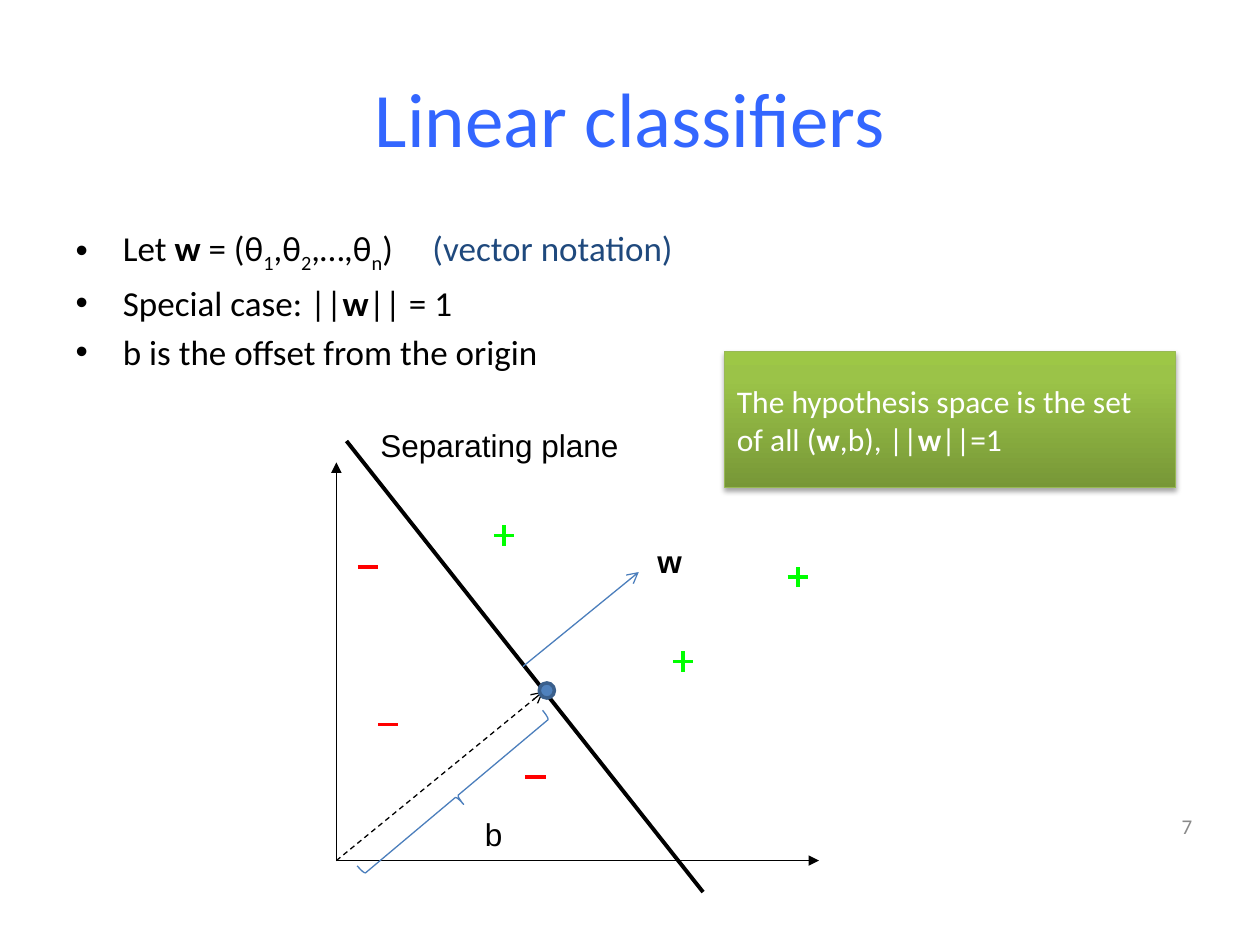
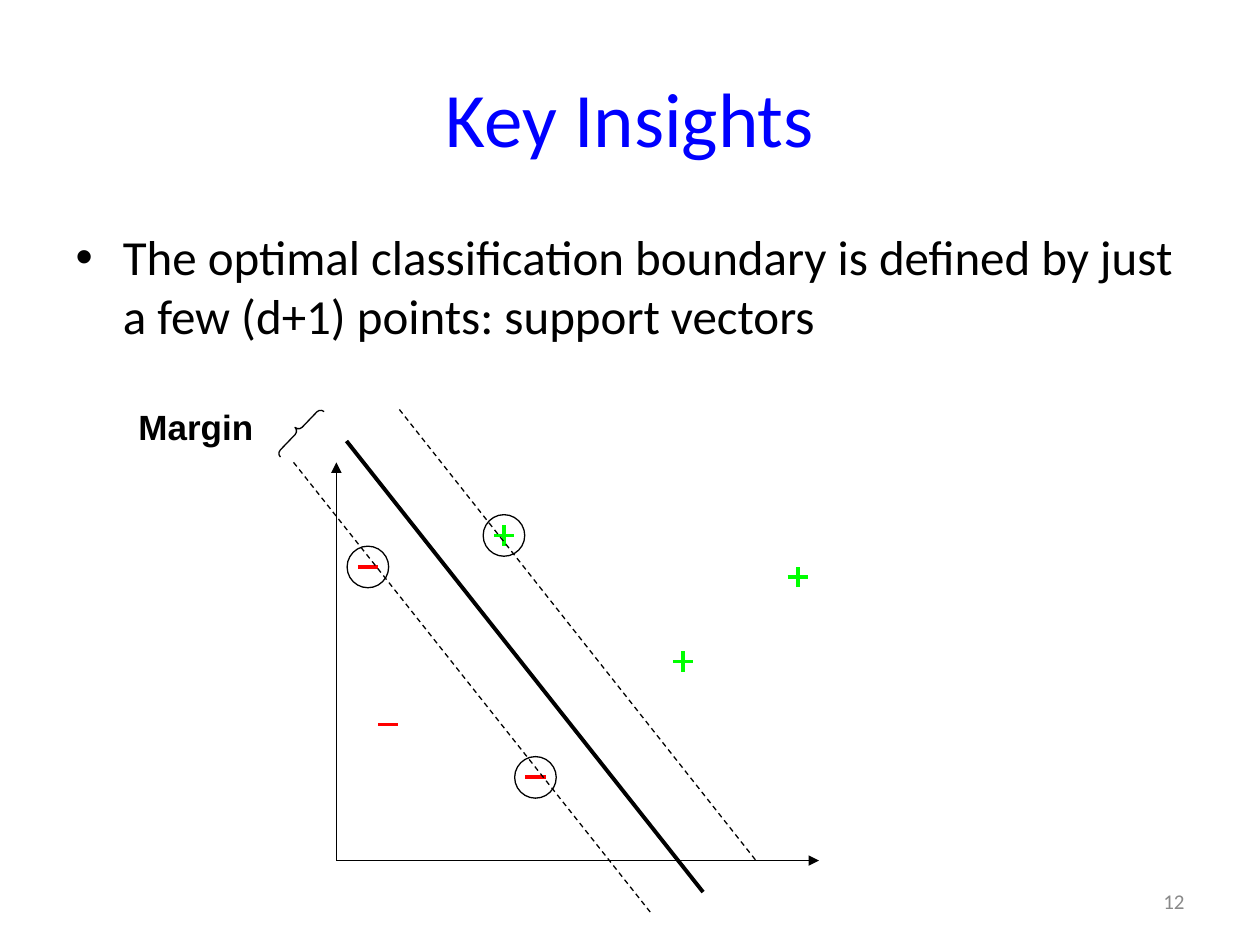
from copy import deepcopy
from dataclasses import dataclass
from typing import Optional

from lxml import etree
from pptx import Presentation
from pptx import util as u
from pptx.dml.color import RGBColor
from pptx.enum import dml, shapes, text
from pptx.oxml import ns

SHAPE = shapes.MSO_SHAPE
ALIGN = text.PP_ALIGN


@dataclass(frozen=True)
class Theme:
    heading: str = "Calibri"
    label: str = "Arial"
    black: str = "000000"
    white: str = "FFFFFF"
    gray: str = "898989"
    navy: str = "1F497D"
    title_light: str = "3366FF"
    title_deep: str = "0000FF"
    positive: str = "00FF00"
    negative: str = "FF0000"
    accent_line: str = "4B7EBC"
    dot_fill: str = "4F81BD"
    dot_line: str = "3A5F8C"
    callout_line: str = "98B955"
    callout_stops: tuple = ((0, "779737"), (0.8, "9BC348"), (1, "9DC746"))
    title_size: float = 44
    large_size: float = 28
    body_size: float = 20
    label_size: float = 18
    number_size: float = 12
    thin: float = 0.75
    medium: float = 2
    thick: float = 2.25


T = Theme()


@dataclass(frozen=True)
class Run:
    text: str
    bold: bool = False
    sub: bool = False
    color: Optional[str] = None
    spacing: float = 0


@dataclass(frozen=True)
class Style:
    size: float
    font: str = T.heading
    color: str = T.black
    align: Optional[ALIGN] = None


@dataclass(frozen=True)
class Box:
    left: float
    top: float
    width: float
    height: float

    def inches(self) -> tuple:
        return tuple(u.Inches(v) for v in (self.left, self.top, self.width, self.height))


@dataclass(frozen=True)
class Line:
    start: tuple
    end: tuple
    color: str = T.black
    width: float = T.thin
    dashed: bool = False
    head: Optional[str] = None


ORIGIN = (2.67, 6.83)
AXES = [
    Line(ORIGIN, (2.67, 3.67), head="triangle"),
    Line(ORIGIN, (6.5, 6.83), head="triangle"),
]
PLANE = Line((2.75, 3.5), (5.58, 7.08), width=T.thick)
MARGINS = [
    Line((2.33, 3.67), (5.17, 7.25), dashed=True),
    Line((3.17, 3.25), (6, 6.83), dashed=True),
]
NEGATIVES = [(2.92, 4.5), (3.08, 5.75), (4.25, 6.17)]
POSITIVES = [(4, 4.25), (5.42, 5.25), (6.33, 4.58)]
SUPPORT_VECTORS = [NEGATIVES[0], NEGATIVES[2], POSITIVES[0]]
MARK_REACH = 0.08
RING = 0.33
TITLE_BOX = Box(0.5, 0.3, 9, 1.25)
BODY_BOX = Box(0.5, 1.75, 9, 4.95)


def rgb(color: str) -> RGBColor:
    return RGBColor.from_string(color)


def place(s, box: Box) -> None:
    s.left, s.top, s.width, s.height = box.inches()


def write(tf, paragraphs: list, style: Style) -> None:
    tf.word_wrap = True
    for i, runs in enumerate(paragraphs):
        p = tf.add_paragraph() if i else tf.paragraphs[0]
        if i == 0:
            p.space_before = u.Pt(0)
        if style.align is not None:
            p.alignment = style.align
        for run in runs:
            r = p.add_run()
            r.text = run.text
            r.font.name = style.font
            r.font.size = u.Pt(style.size)
            r.font.bold = run.bold
            r.font.color.rgb = rgb(run.color or style.color)
            if run.sub:
                r._r.get_or_add_rPr().set("baseline", "-25000")
            if run.spacing:
                r._r.get_or_add_rPr().set("spc", str(round(run.spacing * 100)))


def add_label(slide, box: Box, run: Run, style: Style, anchor=text.MSO_ANCHOR.TOP) -> None:
    tf = slide.shapes.add_textbox(*box.inches()).text_frame
    tf.vertical_anchor = anchor
    write(tf, [[run]], style)


def add_line(parent, line: Line) -> None:
    points = [u.Inches(v) for v in (*line.start, *line.end)]
    s = parent.shapes.add_connector(shapes.MSO_CONNECTOR.STRAIGHT, *points)
    s.line.color.rgb = rgb(line.color)
    s.line.width = u.Pt(line.width)
    if line.dashed:
        s.line.dash_style = dml.MSO_LINE.DASH
    sp_pr = s._element.spPr
    if line.head:
        ln = sp_pr.find(ns.qn("a:ln"))
        etree.SubElement(ln, ns.qn("a:tailEnd"), type=line.head)
    etree.SubElement(sp_pr, ns.qn("a:effectLst"))


def add_shape(slide, kind: SHAPE, box: Box, color: str, width: float = T.thin,
              fill: Optional[str] = None, rotation: float = 0):
    s = slide.shapes.add_shape(kind, *box.inches())
    s.shadow.inherit = False
    s.rotation = rotation
    s.line.color.rgb = rgb(color)
    s.line.width = u.Pt(width)
    if fill:
        s.fill.solid()
        s.fill.fore_color.rgb = rgb(fill)
    else:
        s.fill.background()
    return s


def add_dash(parent, center: tuple, color: str, upright: bool = False) -> None:
    x, y = center
    dx, dy = (0, MARK_REACH) if upright else (MARK_REACH, 0)
    add_line(parent, Line((x - dx, y + dy), (x + dx, y - dy), color, T.thick))


def add_plot(slide) -> None:
    for axis in AXES:
        add_line(slide, axis)
    for center in NEGATIVES:
        add_dash(slide, center, T.negative)
    for center in POSITIVES:
        plus = slide.shapes.add_group_shape()
        for upright in (False, True):
            add_dash(plus, center, T.positive, upright)
    add_line(slide, PLANE)


def add_callout(slide, box: Box, runs: list) -> None:
    s = add_shape(slide, SHAPE.RECTANGLE, box, T.callout_line)
    s.fill.gradient()
    s.fill.gradient_angle = 90
    sp_pr = s._element.spPr
    stops = sp_pr.find(".//" + ns.qn("a:gsLst"))
    stops.insert(1, deepcopy(stops[0]))
    for stop, (position, color) in zip(s.fill.gradient_stops, T.callout_stops):
        stop.position = position
        stop.color.rgb = rgb(color)
    effects = sp_pr.find(ns.qn("a:effectLst"))
    shadow = etree.SubElement(
        effects, ns.qn("a:outerShdw"), blurRad=str(u.Pt(3.1)), dist=str(u.Pt(1.8)),
        dir="5400000", rotWithShape="0")
    tint = etree.SubElement(shadow, ns.qn("a:srgbClr"), val=T.black)
    etree.SubElement(tint, ns.qn("a:alpha"), val="35000")
    s.text_frame.vertical_anchor = text.MSO_ANCHOR.MIDDLE
    write(s.text_frame, [runs], Style(T.label_size, color=T.white, align=ALIGN.LEFT))


def add_slide(prs, title: str, title_color: str, bullets: list, size: float,
              number: str, number_box: Box):
    slide = prs.slides.add_slide(prs.slide_layouts[1])
    heading, body = slide.shapes.title, slide.placeholders[1]
    place(heading, TITLE_BOX)
    place(body, BODY_BOX)
    heading.text_frame.vertical_anchor = text.MSO_ANCHOR.MIDDLE
    write(heading.text_frame, [[Run(title)]],
          Style(T.title_size, color=title_color, align=ALIGN.CENTER))
    write(body.text_frame, bullets, Style(size))
    add_label(slide, number_box, Run(number),
              Style(T.number_size, color=T.gray, align=ALIGN.RIGHT), text.MSO_ANCHOR.MIDDLE)
    add_plot(slide)
    return slide


def build_linear_classifiers(prs) -> None:
    bullets = [
        [Run("Let "), Run("w", bold=True), Run(" = (θ"), Run("1", sub=True), Run(",θ"),
         Run("2", sub=True), Run(",…,θ"), Run("n", sub=True), Run(")"),
         Run(" ", spacing=18), Run("(vector notation)", color=T.navy)],
        [Run("Special case: ||"), Run("w", bold=True), Run("|| = 1")],
        [Run("b is the offset from the origin")],
    ]
    slide = add_slide(prs, "Linear classifiers", T.title_light, bullets, T.body_size,
                      "7", Box(8.89, 6.27, 0.67, 0.57))
    label = Style(T.label_size, T.label)
    add_label(slide, Box(2.92, 3.33, 2.58, 0.4), Run("Separating plane"), label)
    add_line(slide, Line((4.15, 5.29), (5.07, 4.54), T.accent_line, head="arrow"))
    add_label(slide, Box(5.12, 4.25, 0.93, 0.4), Run("w", bold=True), label)
    add_line(slide, Line(ORIGIN, (4.31, 5.49), dashed=True, head="arrow"))
    add_shape(slide, SHAPE.OVAL, Box(4.28, 5.42, 0.12, 0.12), T.dot_line, T.medium, T.dot_fill)
    add_shape(slide, SHAPE.RIGHT_BRACE, Box(3.54, 5.36, 0.17, 1.92), T.accent_line, rotation=50)
    add_label(slide, Box(3.75, 6.42, 0.33, 0.4), Run("b"), label)
    add_callout(slide, Box(5.75, 2.79, 3.58, 1.08), [
        Run("The hypothesis space is the set of all ("), Run("w", bold=True),
        Run(",b), ||"), Run("w", bold=True), Run("||=1")])


def build_key_insights(prs) -> None:
    bullets = [[Run("The optimal classification boundary is defined by just "
                    "a few (d+1) points: support vectors")]]
    slide = add_slide(prs, "Key Insights", T.title_deep, bullets, T.large_size,
                      "12", Box(7.17, 6.95, 2.33, 0.4))
    for margin in MARGINS:
        add_line(slide, margin)
    brace = add_shape(slide, SHAPE.LEFT_BRACE, Box(2.33, 3.17, 0.08, 0.5), T.black,
                      rotation=43.9)
    brace.adjustments[0] = brace.adjustments[1] = 0.5
    add_label(slide, Box(1, 3.17, 1.25, 0.43), Run("Margin", bold=True),
              Style(T.body_size, T.label))
    for x, y in SUPPORT_VECTORS:
        add_shape(slide, SHAPE.OVAL, Box(x - RING / 2, y - RING / 2, RING, RING), T.black)


def main() -> None:
    prs = Presentation()
    prs.slide_width, prs.slide_height = u.Inches(10), u.Inches(7.5)
    build_linear_classifiers(prs)
    build_key_insights(prs)
    prs.save("out.pptx")


if __name__ == "__main__":
    main()
